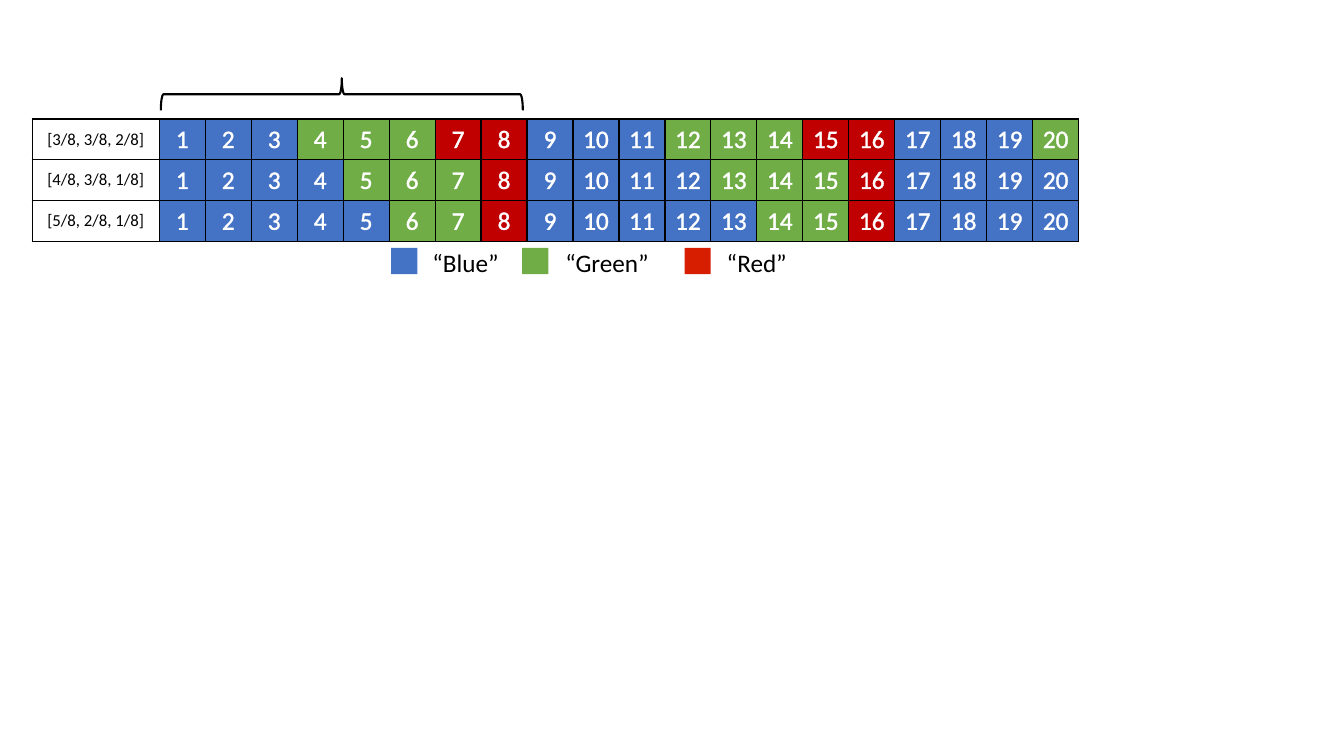
import pptx
import pptx.dml.color
import pptx.enum.shapes
import pptx.enum.text
import pptx.oxml
import pptx.oxml.ns
import pptx.util

Inches = pptx.util.Inches
Pt = pptx.util.Pt
RGB = pptx.dml.color.RGBColor.from_string
SHAPE = pptx.enum.shapes.MSO_SHAPE
NS = pptx.oxml.ns.nsdecls("a")

THEME = {
    "font": "Calibri", "label": Pt(12), "body": Pt(18),
    "ink": "000000", "paper": "FFFFFF",
    "blue": "4472C4", "green": "70AD47", "red": "C00000", "key_red": "D81E00",
}


def line_xml(tag, color, width):
    return pptx.oxml.parse_xml(
        f'<a:{tag} {NS} w="{Pt(width)}"><a:solidFill>'
        f'<a:srgbClr val="{color}"/></a:solidFill></a:{tag}>')


def write(tf, text, size, color):
    r = tf.paragraphs[0].add_run()
    r.text = text
    for name, value in {"name": THEME["font"], "size": size}.items():
        setattr(r.font, name, value)
    r.font.color.rgb = RGB(color)
    return r


prs = pptx.Presentation()
prs.slide_width, prs.slide_height = Inches(13.33), Inches(7.5)
slide = prs.slides.add_slide(prs.slide_layouts[6])

period, steps = 8, 20
shares = [(3, 3, 2), (4, 3, 1), (5, 2, 1)]
label_w, step_w, row_h = 1.26, 0.456, 0.405
table = slide.shapes.add_table(
    len(shares), steps + 1, Inches(0.32), Inches(1.18),
    Inches(label_w + steps * step_w), Inches(len(shares) * row_h)).table
table.first_row = table.horz_banding = False
for i, col in enumerate(table.columns):
    col.width = Inches(step_w if i else label_w)

cell_format = {
    "vertical_anchor": pptx.enum.text.MSO_ANCHOR.MIDDLE,
    "margin_left": Inches(0.05), "margin_right": Inches(0.05),
}
for i, (blue, green, red) in enumerate(shares):
    table.rows[i].height = Inches(row_h)
    cycle = ["blue"] * blue + ["green"] * green + ["red"] * red
    label = f"[{blue}/{period}, {green}/{period}, {red}/{period}]"
    for step in range(steps + 1):
        cell = table.cell(i, step)
        if step:
            text, size, ink = str(step), THEME["body"], THEME["paper"]
            fill = THEME[cycle[(step - 1) % period]]
        else:
            text, size, ink = label, THEME["label"], THEME["ink"]
            fill = THEME["paper"]
        for name, value in cell_format.items():
            setattr(cell, name, value)
        cell.fill.solid()
        cell.fill.fore_color.rgb = RGB(fill)
        r = write(cell.text_frame, text, size, ink)
        r.font._element.insert(0, line_xml("ln", ink, 0.75))
        cell.text_frame.paragraphs[0].alignment = pptx.enum.text.PP_ALIGN.CENTER
        tcPr = cell._tc.get_or_add_tcPr()
        for k, side in enumerate(("lnL", "lnR", "lnT", "lnB")):
            tcPr.insert(k, line_xml(side, THEME["ink"], 1))

legend = [
    ("“Blue”", "blue", 3.88, 4.19, 0.87),
    ("“Green”", "green", 5.18, 5.51, 1.04),
    ("“Red”", "key_red", 6.79, 7.11, 0.8),
]
for text, color, key_x, text_x, text_w in legend:
    sp = slide.shapes.add_shape(
        SHAPE.RECTANGLE, Inches(key_x), Inches(2.46), Inches(0.26), Inches(0.26))
    sp.shadow.inherit = False
    sp.fill.solid()
    sp.fill.fore_color.rgb = RGB(THEME[color])
    sp.line.fill.background()
    tf = slide.shapes.add_textbox(
        Inches(text_x), Inches(2.4), Inches(text_w), Inches(0.4)).text_frame
    tf.word_wrap = False
    tf.auto_size = pptx.enum.text.MSO_AUTO_SIZE.SHAPE_TO_FIT_TEXT
    write(tf, text, THEME["body"], THEME["ink"])

brace = slide.shapes.add_shape(
    SHAPE.LEFT_BRACE, Inches(3.23), Inches(-0.86), Inches(0.32), Inches(3.59))
brace.rotation = 90
brace.shadow.inherit = False
brace.fill.background()
brace.line.color.rgb = RGB(THEME["ink"])
brace.line.width = Pt(1.5)

prs.save("out.pptx")
